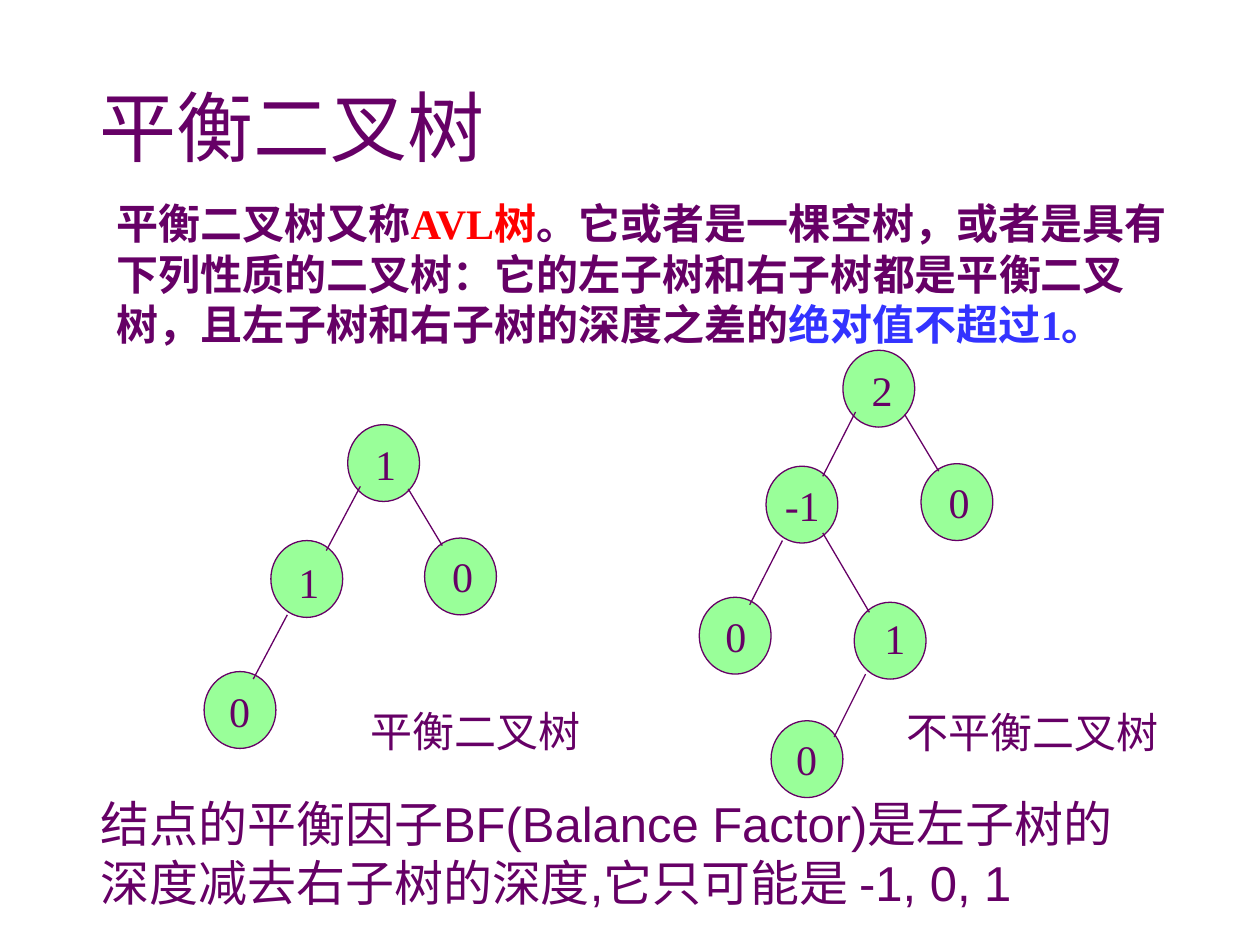
from dataclasses import dataclass

from lxml.etree import SubElement
from pptx import Presentation
from pptx.dml.color import RGBColor
from pptx.enum.shapes import MSO_CONNECTOR as Link, MSO_SHAPE as Form
from pptx.enum.text import MSO_ANCHOR as Anchor, MSO_AUTO_SIZE as Fit, PP_ALIGN as Align
from pptx.oxml.ns import qn
from pptx.util import Pt

PX = 9144  # EMU in one px, 100 px to the inch
COLORS = {"ink": "660066", "node": "99FF99", "term": "FF0000", "rule": "3333FF"}
SERIF, SANS, HEAD = "Times New Roman", "Arial", "Roboto Condensed"
NODE_W, NODE_H = 57, 61


@dataclass
class Node:
    x: int
    y: int
    text: str
    dx: int = 12  # label offset from the node's corner
    dy: int = 6
    wide: int = 36


@dataclass
class Edge:
    x1: int
    y1: int
    x2: int
    y2: int


@dataclass
class Note:
    x: int
    y: int
    w: int
    h: int
    runs: list[tuple[str, str]]  # text and colour name
    size: int = 24
    font: str = SERIF
    bold: bool = False
    wrap: bool = False


@dataclass
class Tree:
    nodes: list[Node]
    edges: list[Edge]
    name: Note


def rgb(name: str) -> RGBColor:
    return RGBColor.from_string(COLORS[name])


def px(*nums: int) -> list[int]:
    return [n * PX for n in nums]


def draw_note(shapes, note: Note) -> None:
    box = shapes.add_textbox(*px(note.x, note.y, note.w, note.h))
    frame = box.text_frame
    frame.word_wrap = note.wrap
    frame.auto_size = Fit.NONE if note.bold else Fit.SHAPE_TO_FIT_TEXT
    para = frame.paragraphs[0]
    # Keep punctuation inside the right margin
    para._p.get_or_add_pPr().set("hangingPunct", "0")
    font = para.font
    font.name, font.size, font.bold = note.font, Pt(note.size), note.bold
    for text, color in note.runs:
        run = para.add_run()
        run.text = text
        run.font.color.rgb = rgb(color)


def draw_node(shapes, node: Node) -> None:
    oval = shapes.add_shape(Form.OVAL, *px(node.x, node.y, NODE_W, NODE_H))
    oval.shadow.inherit = False
    oval.fill.solid()
    oval.fill.fore_color.rgb = rgb("node")
    oval.line.color.rgb = rgb("ink")
    oval.line.width = Pt(0.75)


def draw_edge(shapes, edge: Edge) -> None:
    line = shapes.add_connector(Link.STRAIGHT, *px(edge.x1, edge.y1, edge.x2, edge.y2))
    line.line.color.rgb = rgb("ink")
    line.line.width = Pt(0.75)
    SubElement(line._element.spPr, qn("a:effectLst"))


def draw_tree(shapes, tree: Tree) -> None:
    for node in tree.nodes:
        draw_node(shapes, node)
    for edge in tree.edges:
        draw_edge(shapes, edge)
    for node in tree.nodes:
        draw_note(shapes, Note(node.x + node.dx, node.y + node.dy, node.wide, 50,
                               [(node.text, "ink")]))
    draw_note(shapes, tree.name)


def draw_title(title, text: str) -> None:
    title.left, title.top, title.width, title.height = px(69, 55, 850, 90)
    frame = title.text_frame
    frame.text = text
    frame.auto_size = Fit.NONE
    frame.vertical_anchor = Anchor.MIDDLE
    para = frame.paragraphs[0]
    para.alignment = Align.LEFT
    para.font.name, para.font.size = HEAD, Pt(44)
    para.font.color.rgb = rgb("ink")


INTRO = Note(83, 152, 879, 120, [
    ("平衡二叉树又称", "ink"),
    ("AVL树", "term"),
    ("。它或者是一棵空树，或者是具有下列性质的二叉树：它的左子树和右子树都是"
     "平衡二叉树，且左子树和右子树的深度之差的", "ink"),
    ("绝对值不超过1。", "rule"),
], bold=True, wrap=True)

FACTOR = Note(70, 625, 825, 104, [
    ("结点的平衡因子BF(Balance Factor)是左子树的深度减去右子树的深度,"
     "它只可能是 -1, 0, 1", "ink"),
], size=28, font=SANS, wrap=True)

EVEN = Tree(
    [Node(276, 337, "1"), Node(215, 429, "1", dy=8),
     Node(337, 427, "0", dy=5), Node(162, 533, "0", dx=10)],
    [Edge(286, 386, 259, 437), Edge(228, 488, 201, 539), Edge(324, 388, 351, 433)],
    Note(284, 555, 190, 50, [("平衡二叉树", "ink")]),
)

UNEVEN = Tree(
    [Node(669, 278, "2", dx=13), Node(608, 370, "-1", dx=5, wide=48),
     Node(731, 368, "0", dy=5), Node(555, 474, "0", dx=11),
     Node(678, 478, "1", dx=14, dy=3), Node(612, 572, "0", dx=10, dy=5)],
    [Edge(679, 327, 653, 378), Edge(621, 429, 595, 480), Edge(718, 329, 745, 374),
     Edge(653, 423, 690, 486), Edge(687, 535, 662, 585)],
    Note(710, 556, 224, 50, [("不平衡二叉树", "ink")]),
)


def main() -> None:
    deck = Presentation()
    deck.slide_width, deck.slide_height = px(1000, 750)
    shapes = deck.slides.add_slide(deck.slide_layouts[5]).shapes

    # Heading and definition
    draw_title(shapes.title, "平衡二叉树")
    draw_note(shapes, INTRO)

    # Balanced and unbalanced examples
    for tree in (EVEN, UNEVEN):
        draw_tree(shapes, tree)

    # Balance factor
    draw_note(shapes, FACTOR)
    deck.save("out.pptx")


if __name__ == "__main__":
    main()
